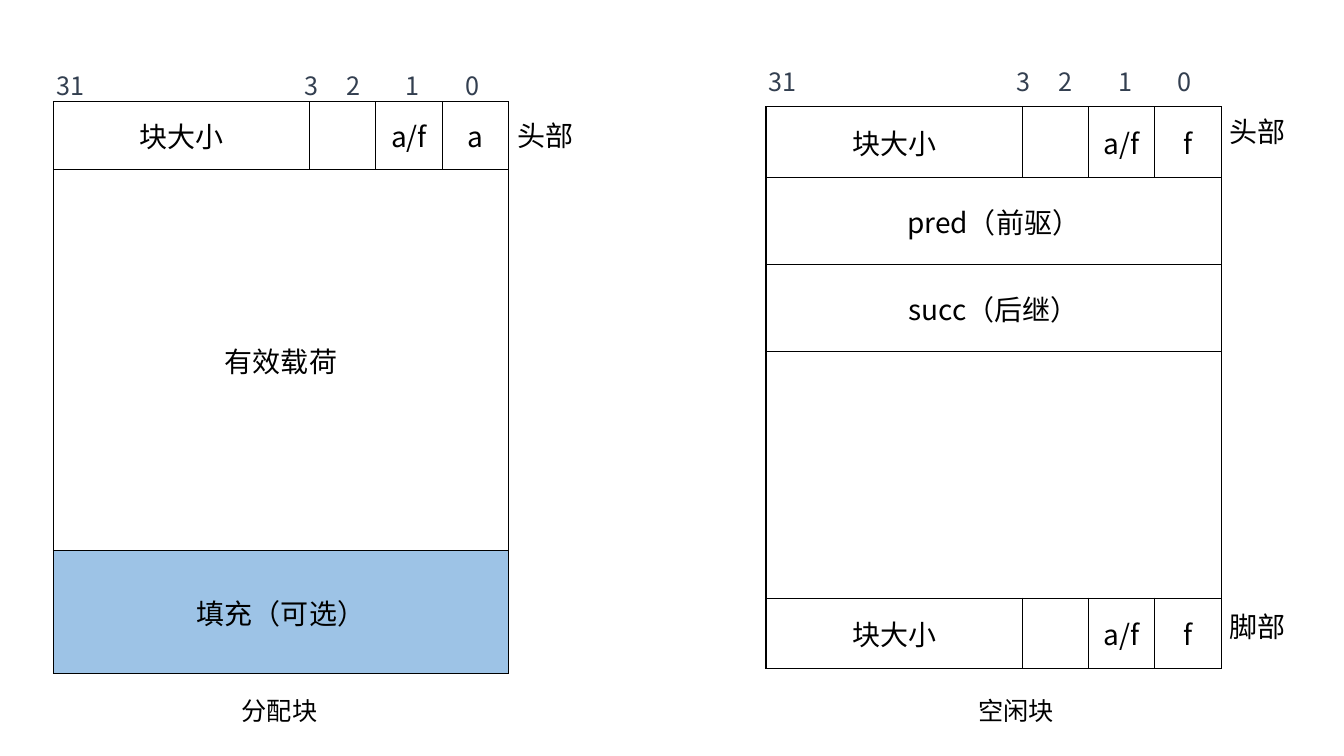
from dataclasses import dataclass

from lxml import etree
from pptx import Presentation
from pptx.dml.color import RGBColor
from pptx.enum.text import MSO_ANCHOR, PP_ALIGN
from pptx.oxml.ns import qn
from pptx.util import Pt

CENTER = PP_ALIGN.CENTER
LEFT = PP_ALIGN.LEFT
MIDDLE = MSO_ANCHOR.MIDDLE


@dataclass(frozen=True)
class Theme:
    font: str = "Noto Sans CJK SC"
    black: str = "000000"
    slate: str = "333F50"
    white: str = "FFFFFF"
    blue: str = "9DC3E6"
    body: int = 20
    small: int = 18
    border: int = 1


THEME = Theme()
COLUMNS = (182.9, 47.4, 47.4, 47.4)
BITS = (("31", 12), ("3", 184.2), ("2", 214.2), ("1", 256.5), ("0", 299.2))
BIT_WIDTH = 40
SIDE_GAP = -1

BLOCKS = (
    {
        "left": 38.2, "top": 72.7, "bits_top": 46.8,
        "rows": (
            (48.2, ("块大小", "", "a/f", "a"), THEME.white),
            (272.2, ("有效载荷",), THEME.white),
            (87.8, ("填充（可选）",), THEME.blue),
        ),
        "sides": (("头部", 81.4),),
        "caption": ("分配块", 165.6),
    },
    {
        "left": 547.2, "top": 76.3, "bits_top": 43.9,
        "rows": (
            (50.4, ("块大小", "", "a/f", "f"), THEME.white),
            (62.1, ("pred（前驱）",), THEME.white),
            (62.1, ("succ（后继）",), THEME.white),
            (176.4, ("",), THEME.white),
            (50.4, ("块大小", "", "a/f", "f"), THEME.white),
        ),
        "sides": (("头部", 78.5), ("脚部", 432)),
        "caption": ("空闲块", 691.9),
    },
)
CAPTION_TOP = 493.2


def write(text_frame, text, size, color, alignment):
    paragraph = text_frame.paragraphs[0]
    paragraph.alignment = alignment
    run = paragraph.add_run()
    run.text = text
    run.font.size = Pt(size)
    run.font.color.rgb = RGBColor.from_string(color)
    run.font.name = THEME.font
    east_asian = etree.SubElement(run.font._element, qn("a:ea"))
    east_asian.set("typeface", THEME.font)


def add_label(slide, text, left, top, width, size, color, alignment=LEFT):
    box = slide.shapes.add_textbox(Pt(left), Pt(top), Pt(width), Pt(size * 1.6))
    box.text_frame.word_wrap = False
    write(box.text_frame, text, size, color, alignment)


def style_cell(cell, fill):
    cell.fill.solid()
    cell.fill.fore_color.rgb = RGBColor.from_string(fill)
    properties = cell._tc.get_or_add_tcPr()
    for index, side in enumerate(("a:lnL", "a:lnR", "a:lnT", "a:lnB")):
        line = etree.Element(qn(side), w=str(Pt(THEME.border)))
        solid = etree.SubElement(line, qn("a:solidFill"))
        etree.SubElement(solid, qn("a:srgbClr"), val=THEME.black)
        properties.insert(index, line)


def add_block_table(slide, block):
    rows = block["rows"]
    height = sum(row[0] for row in rows)
    table = slide.shapes.add_table(
        len(rows), len(COLUMNS), Pt(block["left"]), Pt(block["top"]),
        Pt(sum(COLUMNS)), Pt(height),
    ).table
    table.first_row = False
    table.horz_banding = False
    for column, width in zip(table.columns, COLUMNS):
        column.width = Pt(width)
    for row_index, (row_height, texts, fill) in enumerate(rows):
        table.rows[row_index].height = Pt(row_height)
        for cell in table.rows[row_index].cells:
            style_cell(cell, fill)
        if len(texts) == 1:
            table.cell(row_index, 0).merge(table.cell(row_index, len(COLUMNS) - 1))
        for column_index, text in enumerate(texts):
            cell = table.cell(row_index, column_index)
            cell.vertical_anchor = MIDDLE
            if text:
                write(cell.text_frame, text, THEME.body, THEME.black, CENTER)


def add_block(slide, block):
    add_block_table(slide, block)
    left = block["left"]
    for bit, center in BITS:
        add_label(slide, bit, left + center - BIT_WIDTH / 2, block["bits_top"],
                  BIT_WIDTH, THEME.small, THEME.slate, CENTER)
    for text, top in block["sides"]:
        add_label(slide, text, left + sum(COLUMNS) + SIDE_GAP, top,
                  54.7, THEME.body, THEME.black)
    caption, caption_left = block["caption"]
    add_label(slide, caption, caption_left, CAPTION_TOP, 69.1, THEME.small, THEME.black)


presentation = Presentation()
presentation.slide_width = Pt(960)
presentation.slide_height = Pt(540)
slide = presentation.slides.add_slide(presentation.slide_layouts[6])
for block in BLOCKS:
    add_block(slide, block)
presentation.save("out.pptx")
